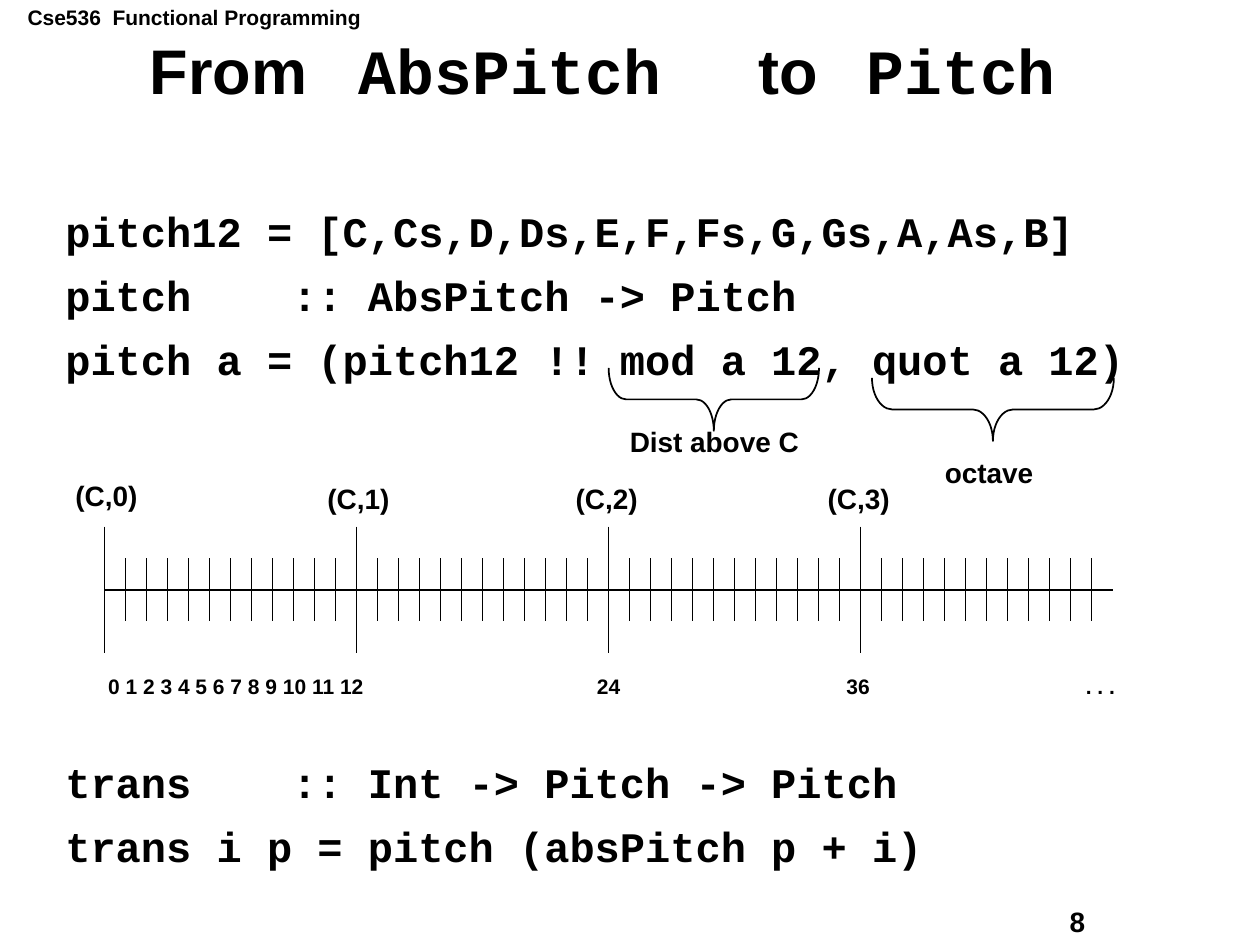
"""Build a slide on converting an absolute pitch to a pitch."""
import lxml.etree
import pptx
import pptx.dml.color
import pptx.enum.shapes
import pptx.enum.text
import pptx.oxml.ns
import pptx.util

Inches = pptx.util.Inches
Pt = pptx.util.Pt
qn = pptx.oxml.ns.qn


def rgb(value):
    return pptx.dml.color.RGBColor.from_string(value)


class SlideBuilder:
    INK = "000000"
    SANS = "Arial"
    MONO = "Courier New"

    def __init__(self, prs):
        self.s = prs.slides.add_slide(prs.slide_layouts[6])

    def text(self, box, paragraphs, size, font=SANS, wrap=False, tabs=(), frame=None, spacing=None):
        sp = self.s.shapes.add_textbox(*map(Inches, box))
        tf = sp.text_frame
        tf.word_wrap = wrap
        for name, value in (frame or {}).items():
            setattr(tf, name, value)
        for i, runs in enumerate(paragraphs):
            p = tf.paragraphs[0] if i == 0 else tf.add_paragraph()
            if tabs:
                tab_list = lxml.etree.SubElement(p._p.get_or_add_pPr(), qn("a:tabLst"))
                for tab in tabs:
                    lxml.etree.SubElement(tab_list, qn("a:tab"), pos=str(Inches(tab)), algn="l")
            for name, value in (spacing or {}).items():
                if i or name != "space_before":
                    setattr(p, name, value)
            for content, face in [(runs, font)] if isinstance(runs, str) else runs:
                r = p.add_run()
                r.text = content
                for name, value in {"name": face, "size": Pt(size), "bold": True}.items():
                    setattr(r.font, name, value)
                r.font.color.rgb = rgb(self.INK)

    def line(self, x1, y1, x2, y2):
        straight = pptx.enum.shapes.MSO_CONNECTOR.STRAIGHT
        sp = self.s.shapes.add_connector(straight, *map(Inches, (x1, y1, x2, y2)))
        sp.line.color.rgb = rgb(self.INK)
        sp.line.width = Pt(1)
        lxml.etree.SubElement(sp._element.spPr, qn("a:effectLst"))

    def brace_below(self, left, top, width, height=0.5):
        box = (left + (width - height) / 2, top - (width - height) / 2, height, width)
        kind = pptx.enum.shapes.MSO_SHAPE.RIGHT_BRACE
        sp = self.s.shapes.add_shape(kind, *map(Inches, box))
        sp.rotation = 90
        sp.adjustments[0] = width / 12 / height
        sp.shadow.inherit = False
        sp.fill.background()
        sp.line.color.rgb = rgb(self.INK)
        sp.line.width = Pt(1)

    def scale(self, left, middle, octaves, octave_width, steps):
        self.line(left, middle, left + octaves * octave_width, middle)
        for i in range(octaves * steps):
            x = left + i * octave_width / steps
            reach = 0.25 if i % steps else 0.5
            self.line(x, middle - reach, x, middle + reach)


def main():
    prs = pptx.Presentation()
    prs.slide_width, prs.slide_height = Inches(10), Inches(7.5)
    b = SlideBuilder(prs)

    b.text((0.12, -0.01, 2.85, 0.3), ["Cse536  Functional Programming"], 12)
    b.text((8.39, 7.13, 1.27, 0.36), ["8"], 16)

    title = [("From\t", b.SANS), ("AbsPitch\t", b.MONO), ("to\t", b.SANS), ("Pitch", b.MONO)]
    middle = {"vertical_anchor": pptx.enum.text.MSO_ANCHOR.MIDDLE}
    b.text((1.09, 0.31, 8.25, 0.56), [title], 36, wrap=True, tabs=(1.66, 4.83, 5.69),
           frame=middle, spacing={"line_spacing": 0.9})

    code_spacing = {"line_spacing": 0.9, "space_before": Pt(10.5)}
    pitch_code = [
        "pitch12 = [C,Cs,D,Ds,E,F,Fs,G,Gs,A,As,B]",
        "pitch    :: AbsPitch -> Pitch",
        "pitch a = (pitch12 !! mod a 12, quot a 12)",
    ]
    trans_code = [
        "trans    :: Int -> Pitch -> Pitch",
        "trans i p = pitch (absPitch p + i)",
    ]
    for top, height, code in ((1.63, 1.4, pitch_code), (6, 0.95, trans_code)):
        b.text((0.42, top, 8.92, height), code, 24, b.MONO, wrap=True, spacing=code_spacing)

    b.scale(0.83, 4.68, octaves=4, octave_width=2, steps=12)
    b.text((0.76, 5.3, 8.57, 0.3), ["0 1 2 3 4 5 6 7 8 9 10 11 12\t24\t36\t. . ."], 12,
           wrap=True, tabs=(3.88, 5.86, 7.76))
    for octave, (x, y) in enumerate(((0.5, 3.75), (2.5, 3.77), (4.47, 3.77), (6.47, 3.77))):
        b.text((x, y, 0.69, 0.37), [f"(C,{octave})"], 16)

    b.brace_below(6.92, 3, 1.92)
    b.text((7.4, 3.57, 0.9, 0.37), ["octave"], 16)
    b.brace_below(4.83, 2.92, 1.67)
    b.text((4.9, 3.32, 1.54, 0.37), ["Dist above C"], 16)

    prs.save("out.pptx")


if __name__ == "__main__":
    main()
